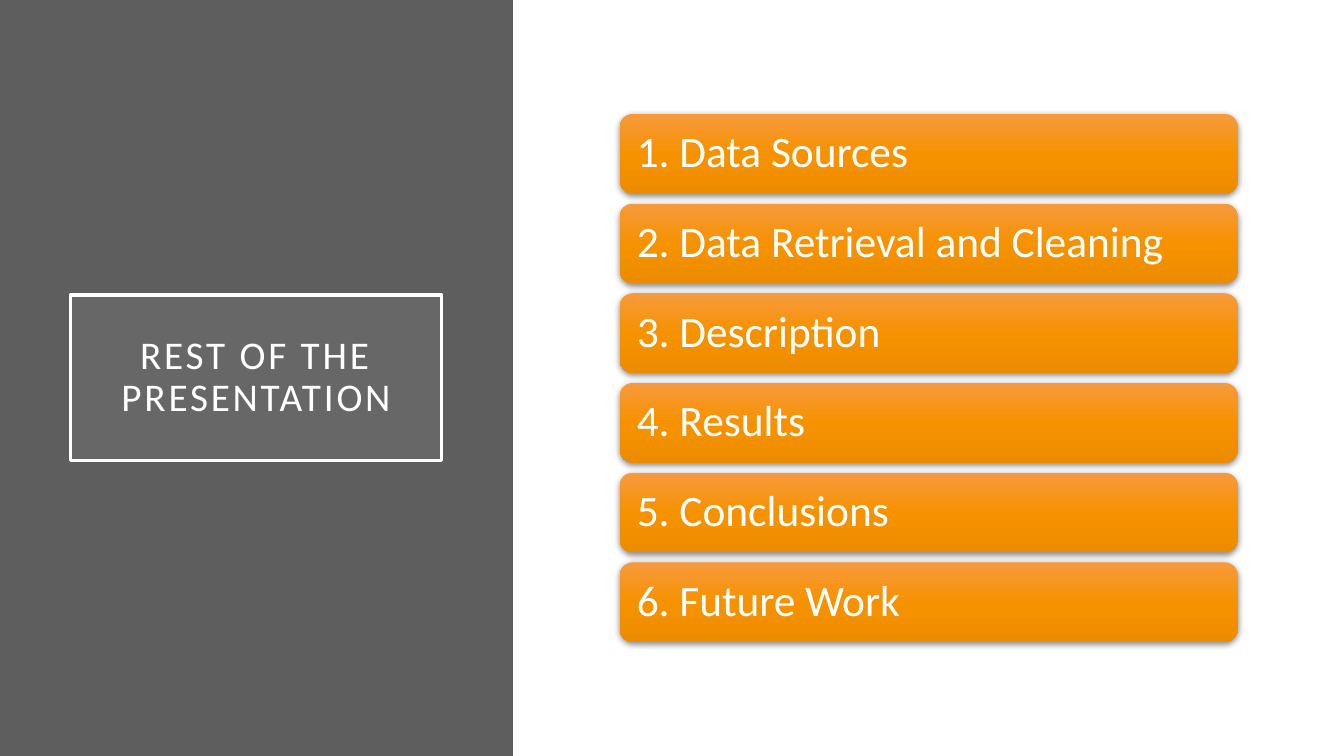
"""Build the outline slide: a grey title panel beside six numbered section bars."""
from dataclasses import dataclass

import lxml.etree
import pptx
import pptx.dml.color
import pptx.enum.shapes
import pptx.enum.text
import pptx.oxml
import pptx.oxml.ns
import pptx.shapes.autoshape
import pptx.slide
import pptx.util

Cm = pptx.util.Cm
Shape = pptx.shapes.autoshape.Shape
ShapeKind = pptx.enum.shapes.MSO_SHAPE
Align = pptx.enum.text.PP_ALIGN

WHITE = "FFFFFF"
BAR_GRADIENT = ((0, "F79A3D"), (50, "F69200"), (100, "EC8C00"))
SECTIONS = (
    "Data Sources",
    "Data Retrieval and Cleaning",
    "Description",
    "Results",
    "Conclusions",
    "Future Work",
)
FIRST_BAR_TOP = 2.87
BAR_PITCH = 2.26


@dataclass(frozen=True)
class Box:
    """Position and size in centimetres."""

    left: float
    top: float
    width: float
    height: float


def color(value: str) -> pptx.dml.color.RGBColor:
    """Turn a hex string into a colour."""
    return pptx.dml.color.RGBColor.from_string(value)


def add_child(parent: lxml.etree._Element, tag: str, **attributes: object) -> lxml.etree._Element:
    """Append a drawing element with the given attributes."""
    child = lxml.etree.SubElement(parent, pptx.oxml.ns.qn(tag))
    for name, value in attributes.items():
        child.set(name, str(value))
    return child


def add_box(slide: pptx.slide.Slide, kind: ShapeKind, box: Box) -> Shape:
    """Add a shape without outline or shadow."""
    shape = slide.shapes.add_shape(
        kind, Cm(box.left), Cm(box.top), Cm(box.width), Cm(box.height)
    )
    shape.line.fill.background()
    shape.shadow.inherit = False
    return shape


def fill_solid(shape: Shape, value: str, opacity: int = 100) -> None:
    """Fill a shape with one colour at an opacity in percent."""
    shape.fill.solid()
    shape.fill.fore_color.rgb = color(value)
    if opacity < 100:
        color_element = shape._element.spPr.find(".//" + pptx.oxml.ns.qn("a:srgbClr"))
        add_child(color_element, "a:alpha", val=opacity * 1000)


def fill_gradient(shape: Shape, stops: tuple[tuple[int, str], ...]) -> None:
    """Fill a shape with a gradient running from top to bottom."""
    shape.fill.gradient()
    shape.fill.gradient_angle = 270
    stop_list = shape._element.spPr.find(".//" + pptx.oxml.ns.qn("a:gsLst"))
    for old_stop in list(stop_list):
        stop_list.remove(old_stop)
    for percent, value in stops:
        stop = add_child(stop_list, "a:gs", pos=percent * 1000)
        add_child(stop, "a:srgbClr", val=value)


def add_shadow(shape: Shape) -> None:
    """Add a soft black shadow below a shape."""
    effects = shape._element.spPr.find(pptx.oxml.ns.qn("a:effectLst"))
    shadow = add_child(
        effects,
        "a:outerShdw",
        blurRad=pptx.util.Pt(4.4),
        dist=pptx.util.Pt(1.2),
        dir=5400000,
        rotWithShape=0,
    )
    add_child(add_child(shadow, "a:srgbClr", val="000000"), "a:alpha", val=45000)


def write_text(
    shape: Shape, text: str, *, size: float, inset: float, align: Align, spacing: float = 0
) -> None:
    """Write white, vertically centred text into a shape."""
    frame = shape.text_frame
    frame.word_wrap = True
    frame.vertical_anchor = pptx.enum.text.MSO_ANCHOR.MIDDLE
    frame.margin_left = frame.margin_right = Cm(inset)
    frame.margin_top = frame.margin_bottom = Cm(inset)
    paragraph = frame.paragraphs[0]
    paragraph.alignment = align
    paragraph.line_spacing = 0.9
    run = paragraph.add_run()
    run.text = text
    run.font.name = "Calibri"
    run.font.size = pptx.util.Pt(size)
    run.font.color.rgb = color(WHITE)
    if spacing:
        run._r.get_or_add_rPr().set("spc", str(round(spacing * 100)))


def add_title(slide: pptx.slide.Slide) -> None:
    """Draw the grey panel and the framed title on it."""
    panel = add_box(slide, ShapeKind.RECTANGLE, Box(0, 0, 12.93, 19.05))
    fill_solid(panel, "5E5E5E")
    title = add_box(slide, ShapeKind.RECTANGLE, Box(1.78, 7.44, 9.35, 4.17))
    fill_solid(title, "9E9E9E", opacity=15)
    title.line.color.rgb = color(WHITE)
    title.line.width = pptx.util.Pt(2.5)
    write_text(
        title, "REST OF THE PRESENTATION", size=28, inset=0.5, align=Align.CENTER, spacing=2
    )


def add_section_bar(slide: pptx.slide.Slide, number: int, section: str) -> None:
    """Draw one numbered section bar."""
    top = FIRST_BAR_TOP + (number - 1) * BAR_PITCH
    bar = add_box(slide, ShapeKind.ROUNDED_RECTANGLE, Box(15.62, top, 15.57, 2.01))
    fill_gradient(bar, BAR_GRADIENT)
    add_shadow(bar)
    write_text(bar, f"{number}. {section}", size=31, inset=0.33, align=Align.LEFT)


def main() -> None:
    """Build and save the presentation."""
    presentation = pptx.Presentation()
    presentation.slide_width = Cm(33.87)
    presentation.slide_height = Cm(19.05)
    slide = presentation.slides.add_slide(presentation.slide_layouts[6])
    add_title(slide)
    for number, section in enumerate(SECTIONS, start=1):
        add_section_bar(slide, number, section)
    presentation.save("out.pptx")


if __name__ == "__main__":
    main()
